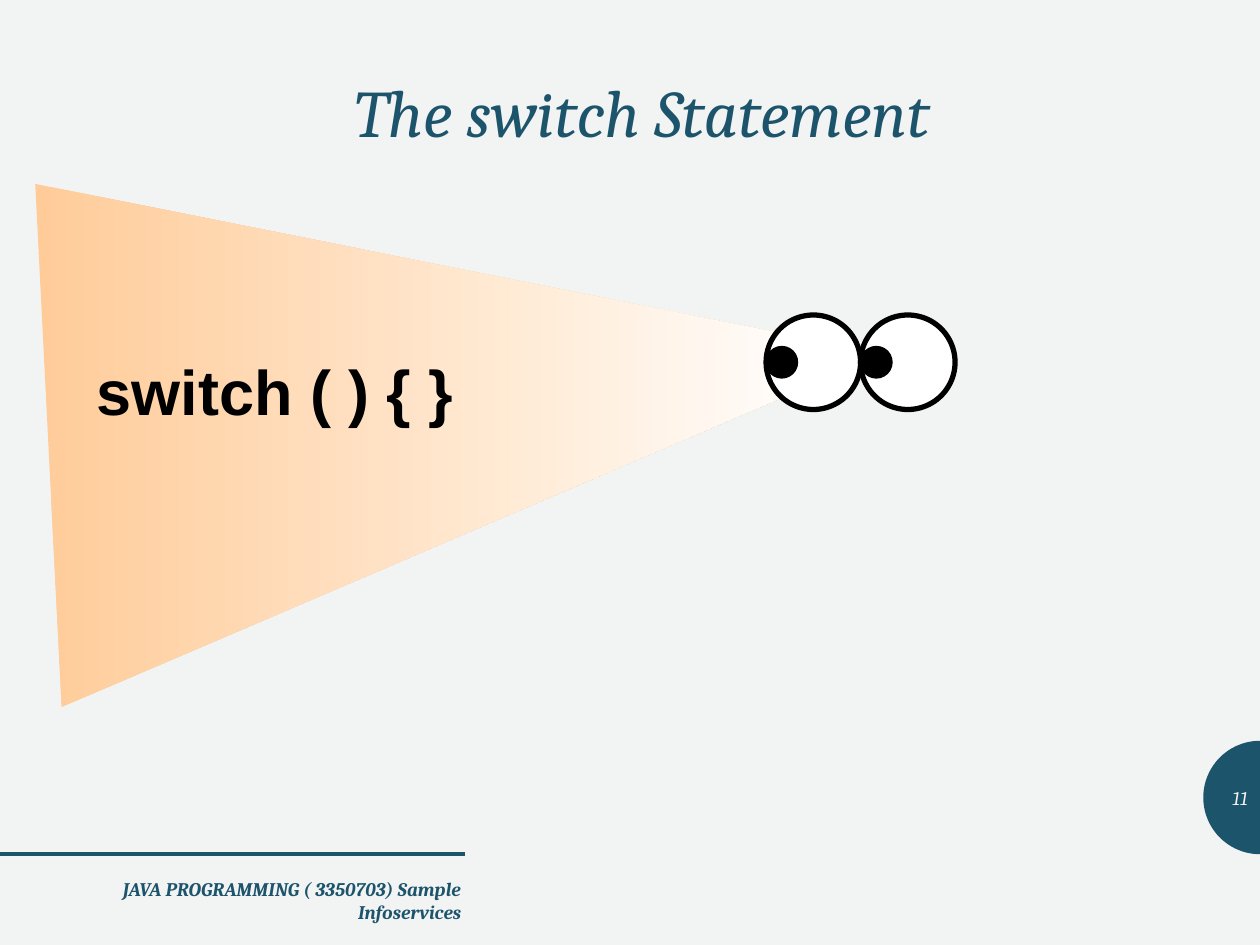
import math

import pptx
import pptx.dml.color
import pptx.enum.shapes
import pptx.enum.text
import pptx.oxml
import pptx.util
from pptx.util import Inches

TEAL, PAPER, BLACK, WHITE, PEACH = "1C546B", "F2F3F3", "000000", "FFFFFF", "FFCC99"
ALIGN = pptx.enum.text.PP_ALIGN
ANCHOR = pptx.enum.text.MSO_ANCHOR


def rgb(value):
    return pptx.dml.color.RGBColor.from_string(value)


def set_all(target, values):
    for name, value in values.items():
        setattr(target, name, value)


def add_text(slide, box, text, color, font, paragraph=None, frame=None):
    """Place one paragraph; font, paragraph and frame map attributes to values."""
    label = slide.shapes.add_textbox(*map(Inches, box)).text_frame
    set_all(label, {"word_wrap": True, **(frame or {})})
    line = label.paragraphs[0]
    set_all(line, paragraph or {})
    run = line.add_run()
    run.text = text
    set_all(run.font, font)
    run.font.color.rgb = rgb(color)


def add_outline(slide, points):
    """Add a closed, borderless polygon from points in inches."""
    start, *rest = [(Inches(x), Inches(y)) for x, y in points]
    builder = slide.shapes.build_freeform(*start)
    builder.add_line_segments(rest, close=True)
    outline = builder.convert_to_shape()
    outline.shadow.inherit = False
    outline.line.fill.background()
    return outline


def add_circle(slide, left, top, size, fill, line_width):
    circle = slide.shapes.add_shape(
        pptx.enum.shapes.MSO_SHAPE.OVAL, *map(Inches, (left, top, size, size)))
    circle.shadow.inherit = False
    circle.fill.solid()
    circle.fill.fore_color.rgb = rgb(fill)
    circle.line.color.rgb = rgb(BLACK)
    circle.line.width = pptx.util.Pt(line_width)


def add_page_badge(slide, left, top, radius, number):
    """Half disc against the right slide edge, holding the page number."""
    steps = 48
    angles = [math.pi * (0.5 + step / steps) for step in range(steps + 1)]
    disc = add_outline(slide, [
        (left + radius * (1 + math.cos(angle)), top + radius * (1 + math.sin(angle)))
        for angle in angles])
    disc.fill.solid()
    disc.fill.fore_color.rgb = rgb(TEAL)
    add_text(slide, (left, top + 0.25, radius, 0.4), number, PAPER,
             {"name": "Cambria", "size": pptx.util.Pt(11), "italic": True},
             {"alignment": ALIGN.RIGHT, "space_before": pptx.util.Pt(2.8)},
             {"vertical_anchor": ANCHOR.MIDDLE})


def add_footer(slide, left, top, width, text):
    rule = slide.shapes.add_connector(
        pptx.enum.shapes.MSO_CONNECTOR.STRAIGHT,
        *map(Inches, (left, top, left + width, top)))
    rule.line.color.rgb = rgb(TEAL)
    rule.line.width = pptx.util.Pt(2.5)
    properties = rule._element.spPr
    properties.append(pptx.oxml.parse_xml(
        '<a:effectLst xmlns:a="http://schemas.openxmlformats.org/drawingml/2006/main"/>'))
    add_text(slide, (left + 0.63, top + 0.13, 3.13, 0.4), text, TEAL,
             {"name": "Cambria", "size": pptx.util.Pt(11), "bold": True, "italic": True},
             {"alignment": ALIGN.RIGHT, "space_before": pptx.util.Pt(2.8)})


def add_beam(slide, left, top, code):
    """Light cone narrowing to the right, with the code it falls on."""
    corners = [(0, 0), (0.21, 4.15), (6.01, 1.66), (6.4, 1.61), (6.04, 1.21)]
    beam = add_outline(slide, [(left + x, top + y) for x, y in corners])
    beam.fill.gradient()
    beam.fill.gradient_angle = 0
    for stop, color in zip(beam.fill.gradient_stops, (PEACH, WHITE)):
        stop.color.rgb = rgb(color)
    add_text(slide, (left + 0.39, top + 1.29, 3.67, 0.7), code, BLACK,
             {"name": "Arial", "size": pptx.util.Pt(36), "bold": True})


def add_eyes(slide, left, top, size):
    """Two touching eyes that look to the left."""
    pupil = size / 3
    eye_lefts = (left, left + size)
    for eye_left in eye_lefts:
        add_circle(slide, eye_left, top, size, WHITE, 3)
    for eye_left in eye_lefts:
        add_circle(slide, eye_left, top + pupil, pupil, BLACK, 0.75)


def add_title(slide, box, text):
    add_text(slide, box, text, TEAL,
             {"name": "Cambria", "size": pptx.util.Pt(38), "italic": True},
             {"alignment": ALIGN.CENTER, "line_spacing": 0.9},
             {"word_wrap": False})


def main():
    deck = pptx.Presentation()
    deck.slide_width, deck.slide_height = Inches(10), Inches(7.5)
    slide = deck.slides.add_slide(deck.slide_layouts[6])
    slide.background.fill.solid()
    slide.background.fill.fore_color.rgb = rgb(PAPER)

    add_page_badge(slide, 9.55, 5.88, 0.45, "11")
    add_footer(slide, 0, 6.78, 3.69, "JAVA PROGRAMMING ( 3350703) Sample Infoservices")
    add_beam(slide, 0.28, 1.46, "switch ( ) { }")
    add_eyes(slide, 6.08, 2.5, 0.75)
    add_title(slide, (2.37, 0.59, 5.45, 0.67), "The switch Statement")
    deck.save("out.pptx")


if __name__ == "__main__":
    main()
